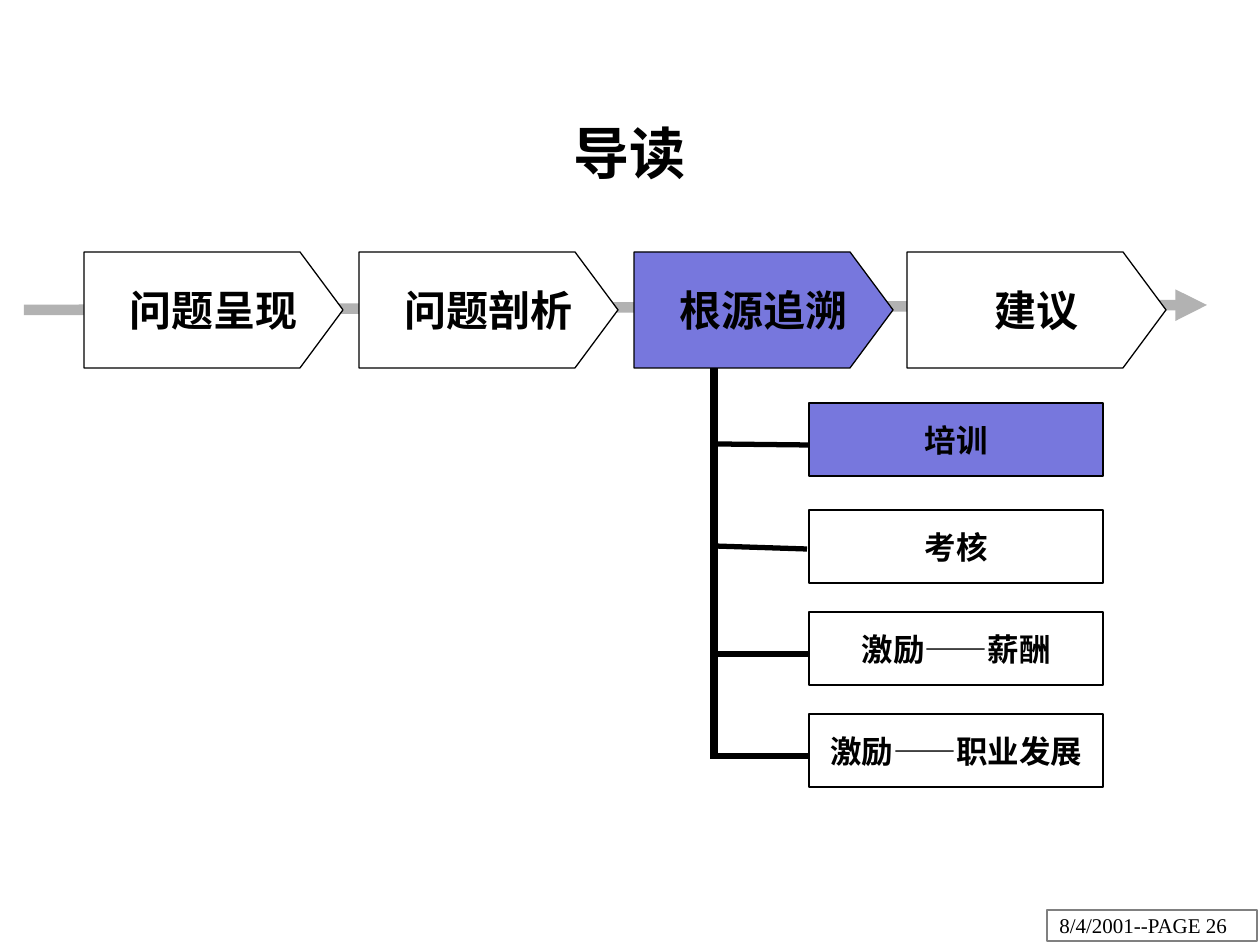
from typing import NamedTuple, Optional

import pptx
import pptx.dml.color
import pptx.enum.shapes
import pptx.enum.text
import pptx.oxml.ns
import pptx.util
from lxml import etree

PX_PER_INCH = 126
FONT = "Times New Roman"
COLORS = {
    "black": "000000",
    "white": "FFFFFF",
    "highlight": "7777DD",
    "flow": "B2B2B2",
    "footer_line": "808080",
}
ALIGN = pptx.enum.text.PP_ALIGN
RECTANGLE = pptx.enum.shapes.MSO_SHAPE.RECTANGLE

STEP_TOP, STEP_WIDTH, STEP_HEIGHT, STEP_SHOULDER = 252, 259, 116, 216
TOPIC_LEFT, TOPIC_WIDTH, TOPIC_HEIGHT = 809, 294, 73


class Step(NamedTuple):
    text: str
    left: int
    fill: str = "white"


class Topic(NamedTuple):
    text: str
    top: int
    fill: Optional[str] = None


class Line(NamedTuple):
    start: tuple[int, int]
    end: tuple[int, int]
    width: float
    color: str = "black"
    arrow: bool = False


STEPS = [
    Step("问题呈现", 84),
    Step("问题剖析", 359),
    Step("根源追溯", 634, "highlight"),
    Step("建议", 907),
]
TOPICS = [
    Topic("培训", 403, "highlight"),
    Topic("考核", 510),
    Topic("激励——薪酬", 612),
    Topic("激励——职业发展", 714),
]
LINES = [
    Line((24, 310), (1207, 305), 6, "flow", arrow=True),
    Line((714, 359), (714, 759), 4.5),  # stem below the current step
    Line((718, 444), (808, 445), 3),
    Line((714, 546), (807, 549), 3),
    Line((718, 654), (808, 654), 3),
    Line((714, 756), (809, 756), 3),
]


def px(length: int) -> int:
    return round(length * 914400 / PX_PER_INCH)


def rgb(name: str) -> pptx.dml.color.RGBColor:
    return pptx.dml.color.RGBColor.from_string(COLORS[name])


def write(shape, text: str, size: int, bold: bool = True,
          align=ALIGN.CENTER, wrap: bool = True) -> None:
    frame = shape.text_frame
    frame.word_wrap = wrap
    frame.vertical_anchor = pptx.enum.text.MSO_ANCHOR.MIDDLE
    paragraph = frame.paragraphs[0]
    paragraph.text = text
    paragraph.alignment = align
    paragraph.font.name = FONT
    paragraph.font.size = pptx.util.Pt(size)
    paragraph.font.bold = bold
    paragraph.font.color.rgb = rgb("black")


def style(shape, fill: Optional[str], line: str = "black") -> None:
    shape.shadow.inherit = False
    if fill:
        shape.fill.solid()
        shape.fill.fore_color.rgb = rgb(fill)
    else:
        shape.fill.background()
    shape.line.color.rgb = rgb(line)
    shape.line.width = pptx.util.Pt(0.75)


def draw_line(slide, line: Line) -> None:
    connector = slide.shapes.add_connector(
        pptx.enum.shapes.MSO_CONNECTOR.STRAIGHT,
        *map(px, line.start), *map(px, line.end))
    connector.line.color.rgb = rgb(line.color)
    connector.line.width = pptx.util.Pt(line.width)
    if line.arrow:
        etree.SubElement(connector.line._get_or_add_ln(),
                         pptx.oxml.ns.qn("a:tailEnd"), type="triangle")
    etree.SubElement(connector._element.spPr, pptx.oxml.ns.qn("a:effectLst"))


def draw_step(slide, step: Step) -> None:
    shoulder, tip = step.left + STEP_SHOULDER, step.left + STEP_WIDTH
    middle, bottom = STEP_TOP + STEP_HEIGHT // 2, STEP_TOP + STEP_HEIGHT
    builder = slide.shapes.build_freeform(px(step.left), px(STEP_TOP))
    corners = [(shoulder, STEP_TOP), (tip, middle), (shoulder, bottom), (step.left, bottom)]
    builder.add_line_segments([(px(x), px(y)) for x, y in corners], close=True)
    shape = builder.convert_to_shape()
    style(shape, step.fill)
    write(shape, step.text, 24)


def draw_topic(slide, topic: Topic) -> None:
    shape = slide.shapes.add_shape(
        RECTANGLE, px(TOPIC_LEFT), px(topic.top), px(TOPIC_WIDTH), px(TOPIC_HEIGHT))
    style(shape, topic.fill)
    write(shape, topic.text, 18)


def main() -> None:
    presentation = pptx.Presentation()
    presentation.slide_width, presentation.slide_height = px(1260), px(945)
    slide = presentation.slides.add_slide(presentation.slide_layouts[6])

    # Page footer
    footer = slide.shapes.add_shape(RECTANGLE, px(1047), px(910), px(210), px(31))
    style(footer, "white", "footer_line")
    write(footer, "8/4/2001--PAGE 26", 12, bold=False, align=ALIGN.LEFT, wrap=False)

    # Title
    title = slide.shapes.add_textbox(px(94), px(73), px(1071), px(158))
    write(title, "导读", 32)

    # Flow arrow, stem and branches, with the boxes on top
    for line in LINES:
        draw_line(slide, line)
    for step in STEPS:
        draw_step(slide, step)
    for topic in TOPICS:
        draw_topic(slide, topic)

    presentation.save("out.pptx")


if __name__ == "__main__":
    main()
